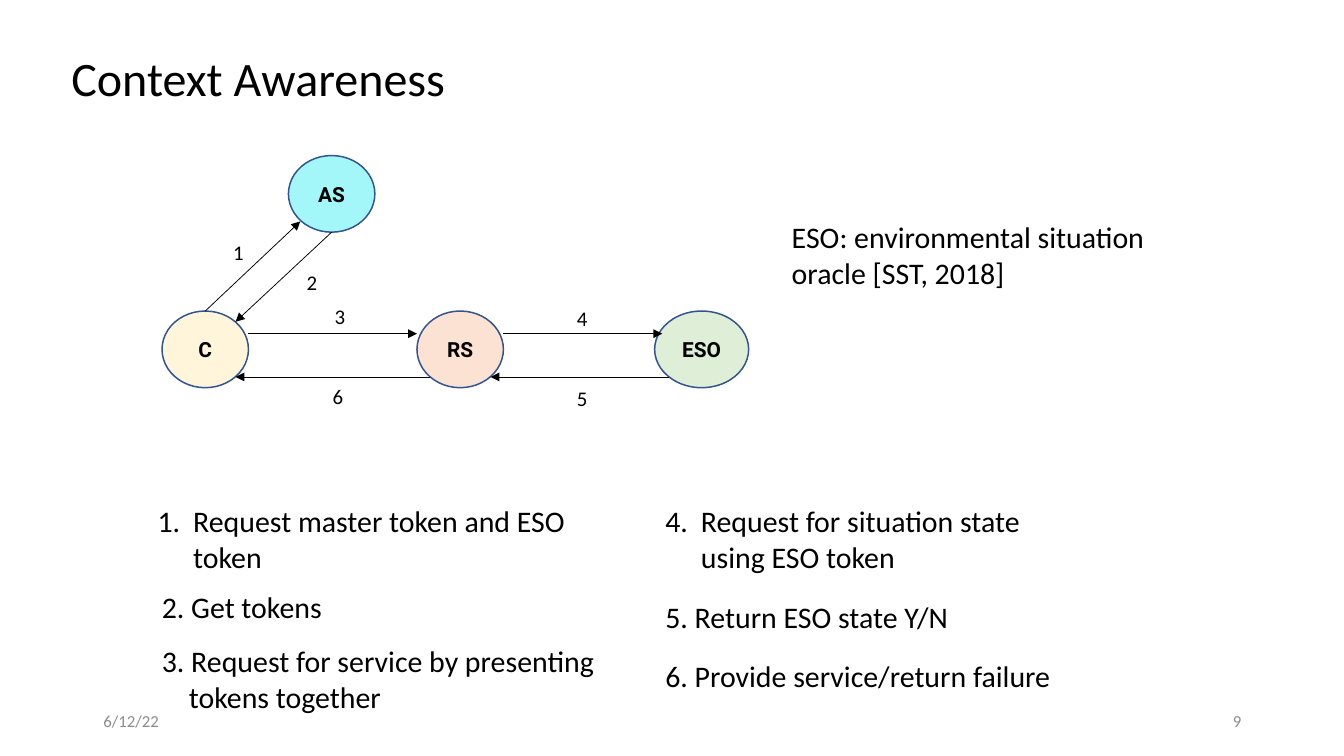
from lxml import etree
from pptx import Presentation
from pptx.dml.color import RGBColor
from pptx.enum import shapes, text
from pptx.oxml.ns import qn
from pptx.util import Inches, Pt

BLACK = "000000"
GRAY = "8C8C8C"
OUTLINE = "325491"
NODE_HEIGHT = 0.71
NODE_OPACITY = 36

# name: (left, top, width, fill), relative to the diagram
NODES = {
    "AS": (1.17, 0, 0.8, "00EAF0"),
    "C": (0, 1.44, 0.8, "FFE699"),
    "RS": (2.36, 1.44, 0.8, "F4B183"),
    "ESO": (4.56, 1.44, 0.87, "A9D18E"),
}
REQUEST_Y, REPLY_Y = 1.65, 2.05
# (from, to, left and top of the step number)
STEPS = [
    ((0.4, 1.44), (1.28, 0.61), (0.56, 0.73)),
    ((1.57, 0.71), (0.68, 1.54), (1.24, 1.01)),
    ((0.8, REQUEST_Y), (2.36, REQUEST_Y), (1.5, 1.32)),
    ((3.16, REQUEST_Y), (4.63, REQUEST_Y), (3.74, 1.34)),
    ((4.69, REPLY_Y), (3.04, REPLY_Y), (3.74, 2.08)),
    ((2.48, REPLY_Y), (0.68, REPLY_Y), (1.48, 2.06)),
]


def color(value):
    return RGBColor.from_string(value)


def write(shape, content, size=19.9, font="Calibri", fill=BLACK, bold=False,
          align=text.PP_ALIGN.LEFT, anchor=text.MSO_ANCHOR.TOP,
          hanging=0, number=None):
    """Fill a shape with one paragraph, auto-numbered if a number is given."""
    frame = shape.text_frame
    frame.word_wrap = True
    frame.auto_size = text.MSO_AUTO_SIZE.NONE
    frame.vertical_anchor = anchor
    paragraph = frame.paragraphs[0]
    paragraph.text = content
    paragraph.alignment = align
    if hanging:
        properties = paragraph._p.get_or_add_pPr()
        properties.set("marL", str(Inches(hanging)))
        properties.set("indent", str(-Inches(hanging)))
        if number:
            etree.SubElement(properties, qn("a:buFont"), typeface="+mj-lt")
            etree.SubElement(properties, qn("a:buAutoNum"),
                             type="arabicPeriod", startAt=str(number))
    paragraph.font.size = Pt(size)
    paragraph.font.name = font
    paragraph.font.bold = bold
    paragraph.font.color.rgb = color(fill)


def add_text(slide, left, top, width, height, content, **formatting):
    box = slide.shapes.add_textbox(
        Inches(left), Inches(top), Inches(width), Inches(height))
    write(box, content, **formatting)


def add_title(slide, left, top, width, height, content):
    title = slide.shapes.title
    title.left, title.top = Inches(left), Inches(top)
    title.width, title.height = Inches(width), Inches(height)
    write(title, content, size=32)


def add_node(slide, left, top, width, name, fill):
    node = slide.shapes.add_shape(
        shapes.MSO_SHAPE.FLOWCHART_CONNECTOR,
        Inches(left), Inches(top), Inches(width), Inches(NODE_HEIGHT))
    node.shadow.inherit = False
    node.fill.solid()
    node.fill.fore_color.rgb = color(fill)
    etree.SubElement(node._element.spPr.find(".//" + qn("a:srgbClr")),
                     qn("a:alpha"), val=str(NODE_OPACITY * 1000))
    node.line.color.rgb = color(OUTLINE)
    node.line.width = Pt(1)
    frame = node.text_frame
    frame.margin_left = frame.margin_right = 0
    write(node, name, size=13.9, font="Roboto", bold=True,
          align=text.PP_ALIGN.CENTER, anchor=text.MSO_ANCHOR.MIDDLE)
    return node


def add_arrow(slide, left, top, start, end):
    arrow = slide.shapes.add_connector(
        shapes.MSO_CONNECTOR.STRAIGHT,
        Inches(left + start[0]), Inches(top + start[1]),
        Inches(left + end[0]), Inches(top + end[1]))
    arrow.line.color.rgb = color(BLACK)
    arrow.line.width = Pt(0.5)
    etree.SubElement(arrow.line._get_or_add_ln(), qn("a:tailEnd"),
                     type="triangle")
    etree.SubElement(arrow._element.spPr, qn("a:effectLst"))
    return arrow


def add_diagram(slide, left, top):
    nodes = {name: add_node(slide, left + x, top + y, width, name, fill)
             for name, (x, y, width, fill) in NODES.items()}
    arrows = [add_arrow(slide, left, top, start, end)
              for start, end, _ in STEPS]
    arrows[0].begin_connect(nodes["C"], 0)
    for number, (_, _, (x, y)) in enumerate(STEPS, 1):
        add_text(slide, left + x, top + y, 0.25, 0.34, str(number), size=13.9)


def add_legend(slide, left, top):
    """Explain the six steps in two columns."""
    right = left + 4.7
    width, one_line, two_lines = 4.13, 0.44, 0.77
    add_text(slide, left, top, width, two_lines,
             "Request master token and ESO token", hanging=0.33, number=1)
    add_text(slide, left + 0.04, top + 0.79, width, one_line, "2. Get tokens")
    add_text(slide, left + 0.04, top + 1.29, width + 0.2, two_lines,
             "3. Request for service by presenting tokens together",
             hanging=0.25)
    add_text(slide, right, top, width, two_lines,
             "Request for situation state using ESO token",
             hanging=0.33, number=4)
    add_text(slide, right, top + 0.88, width, one_line,
             "5. Return ESO state Y/N")
    add_text(slide, right, top + 1.43, width, one_line,
             "6. Provide service/return failure")


def add_footer(slide, left, top, width, height):
    part = 2.8
    style = dict(size=11.2, fill=GRAY, anchor=text.MSO_ANCHOR.MIDDLE)
    add_text(slide, left, top, part, height, "6/12/22", **style)
    add_text(slide, left + width - part, top, part, height, "9",
             align=text.PP_ALIGN.RIGHT, **style)


def main():
    presentation = Presentation()
    presentation.slide_width = Inches(12.44)
    presentation.slide_height = Inches(7)
    slide = presentation.slides.add_slide(presentation.slide_layouts[5])
    add_title(slide, 0.56, 0.4, 11.07, 0.64, "Context Awareness")
    add_diagram(slide, 1.5, 1.44)
    add_text(slide, 7.23, 1.98, 3.48, 0.77,
             "ESO: environmental situation oracle [SST, 2018]")
    add_legend(slide, 1.36, 4.61)
    add_footer(slide, 0.86, 6.49, 10.73, 0.37)
    presentation.save("out.pptx")


if __name__ == "__main__":
    main()
